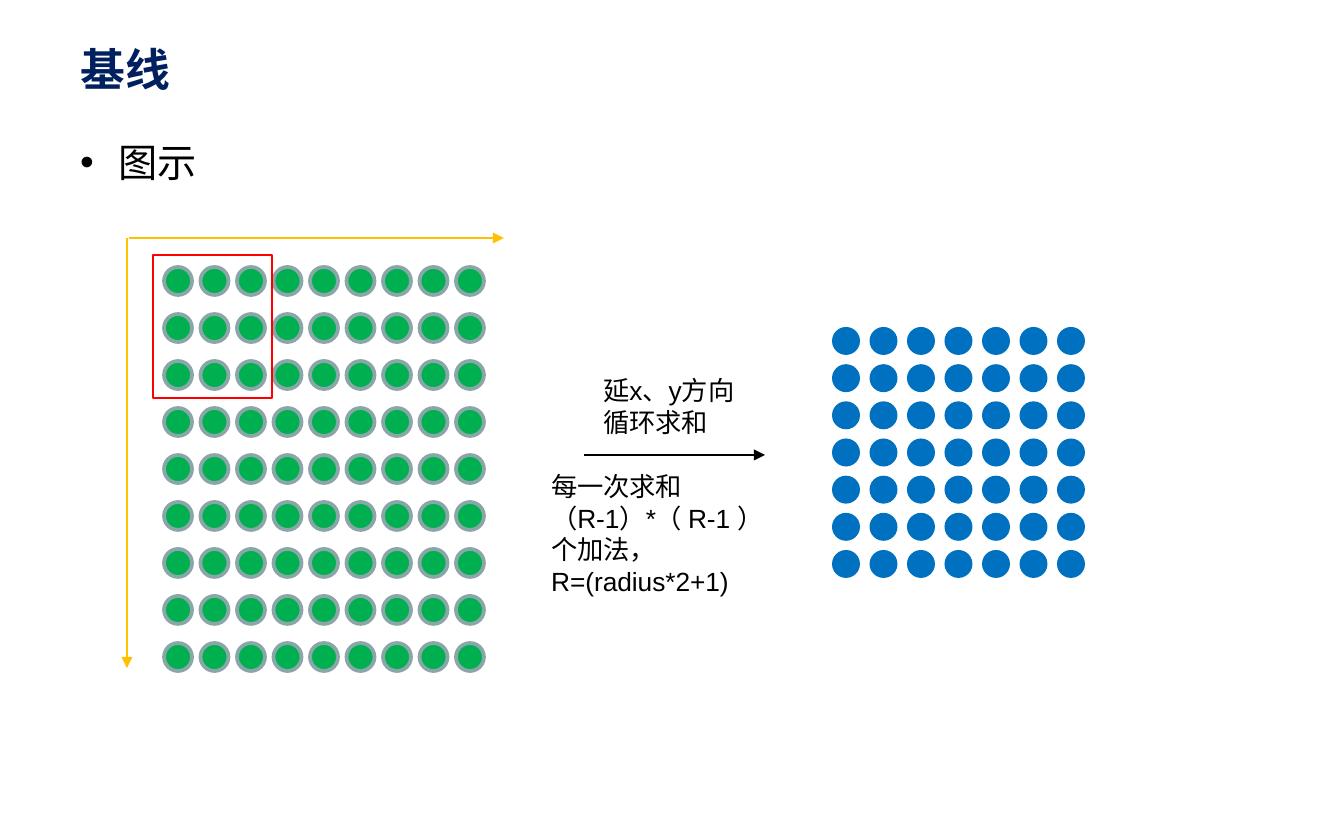
"""Slide showing the baseline box sum over a grid of dots."""
from lxml.etree import SubElement
from pptx import Presentation
from pptx.dml.color import RGBColor
from pptx.enum.shapes import MSO_CONNECTOR, MSO_SHAPE
from pptx.enum.text import MSO_ANCHOR, MSO_AUTO_SIZE, PP_ALIGN
from pptx.oxml.ns import qn
from pptx.util import Pt

PX = 6804
NAVY = RGBColor(0x00, 0x20, 0x60)
BLACK = RGBColor(0x00, 0x00, 0x00)
WHITE = RGBColor(0xFF, 0xFF, 0xFF)
GREEN = RGBColor(0x00, 0xB0, 0x50)
GREY = RGBColor(0x8A, 0xA6, 0xA8)
RED = RGBColor(0xFF, 0x00, 0x00)
GOLD = RGBColor(0xFF, 0xC0, 0x00)
BLUE = RGBColor(0x00, 0x70, 0xC0)
HAN = "Noto Sans CJK SC"


def write(para, text, size, face, color, bold=False):
    run = para.add_run()
    run.text = text
    run.font.size = Pt(size)
    run.font.name = face
    run.font.bold = bold
    run.font.color.rgb = color
    SubElement(run.font._element, qn("a:ea"), typeface=HAN)


def arrow(shapes, ends, color):
    line = shapes.add_connector(MSO_CONNECTOR.STRAIGHT, *[n * PX for n in ends])
    line.line.color.rgb = color
    line.line.width = Pt(1)
    SubElement(line.line._get_or_add_ln(), qn("a:tailEnd"), type="triangle")
    SubElement(line._element.spPr, qn("a:effectLst"))


deck = Presentation()
deck.slide_width = 1344 * PX
deck.slide_height = 840 * PX
slide = deck.slides.add_slide(deck.slide_layouts[5])

title = slide.shapes.title
title.left, title.top, title.width, title.height = [n * PX for n in (67, 27, 762, 83)]
title.fill.solid()
title.fill.fore_color.rgb = WHITE
frame = title.text_frame
frame.auto_size = MSO_AUTO_SIZE.NONE
frame.vertical_anchor = MSO_ANCHOR.MIDDLE
frame.paragraphs[0].alignment = PP_ALIGN.LEFT
write(frame.paragraphs[0], "基线", 24, HAN, NAVY, True)

body = slide.shapes.add_textbox(67 * PX, 132 * PX, 1210 * PX, 648 * PX)
body.text_frame.word_wrap = True
para = body.text_frame.paragraphs[0]
props = para._p.get_or_add_pPr()
props.set("marL", str(38 * PX))
props.set("indent", str(-38 * PX))
SubElement(props, qn("a:buFont"), typeface="Arial")
SubElement(props, qn("a:buChar"), char="•")
write(para, "图示", 21, HAN, BLACK)

grids = [
    (9, 164, 267, 292, 376, GREEN, GREY),
    (7, 832, 327, 225, 223, BLUE, None),
]
for count, left, top, wide, high, fill, edge in grids:
    group = slide.shapes.add_group_shape()
    for row in range(count):
        for col in range(count):
            x = left + wide * col / (count - 1)
            y = top + high * row / (count - 1)
            dot = group.shapes.add_shape(
                MSO_SHAPE.OVAL, int(x * PX), int(y * PX), 28 * PX, 28 * PX)
            dot.shadow.inherit = False
            dot.fill.solid()
            dot.fill.fore_color.rgb = fill
            if edge:
                dot.line.color.rgb = edge
                dot.line.width = Pt(2)
            else:
                dot.line.fill.background()
    if edge:
        frame = group.shapes.add_shape(
            MSO_SHAPE.RECTANGLE, 153 * PX, 255 * PX, 119 * PX, 143 * PX)
        frame.shadow.inherit = False
        frame.fill.background()
        frame.line.color.rgb = RED
        frame.line.width = Pt(1)
        arrow(group.shapes, (129, 238, 504, 238), GOLD)
        arrow(group.shapes, (127, 238, 127, 668), GOLD)

arrow(slide.shapes, (584, 455, 765, 455), BLACK)

notes = [
    (590, 368, 163, 77, ["延x、y方向循环求和"]),
    (538, 464, 251, 109, ["每一次求和（R-1）*（ R-1 ）个加法，", "R=(radius*2+1)"]),
]
for left, top, wide, high, lines in notes:
    box = slide.shapes.add_textbox(left * PX, top * PX, wide * PX, high * PX)
    frame = box.text_frame
    frame.word_wrap = True
    frame.auto_size = MSO_AUTO_SIZE.SHAPE_TO_FIT_TEXT
    for at, text in enumerate(lines):
        para = frame.add_paragraph() if at else frame.paragraphs[0]
        write(para, text, 14.1, "Arial", BLACK)

deck.save("out.pptx")
